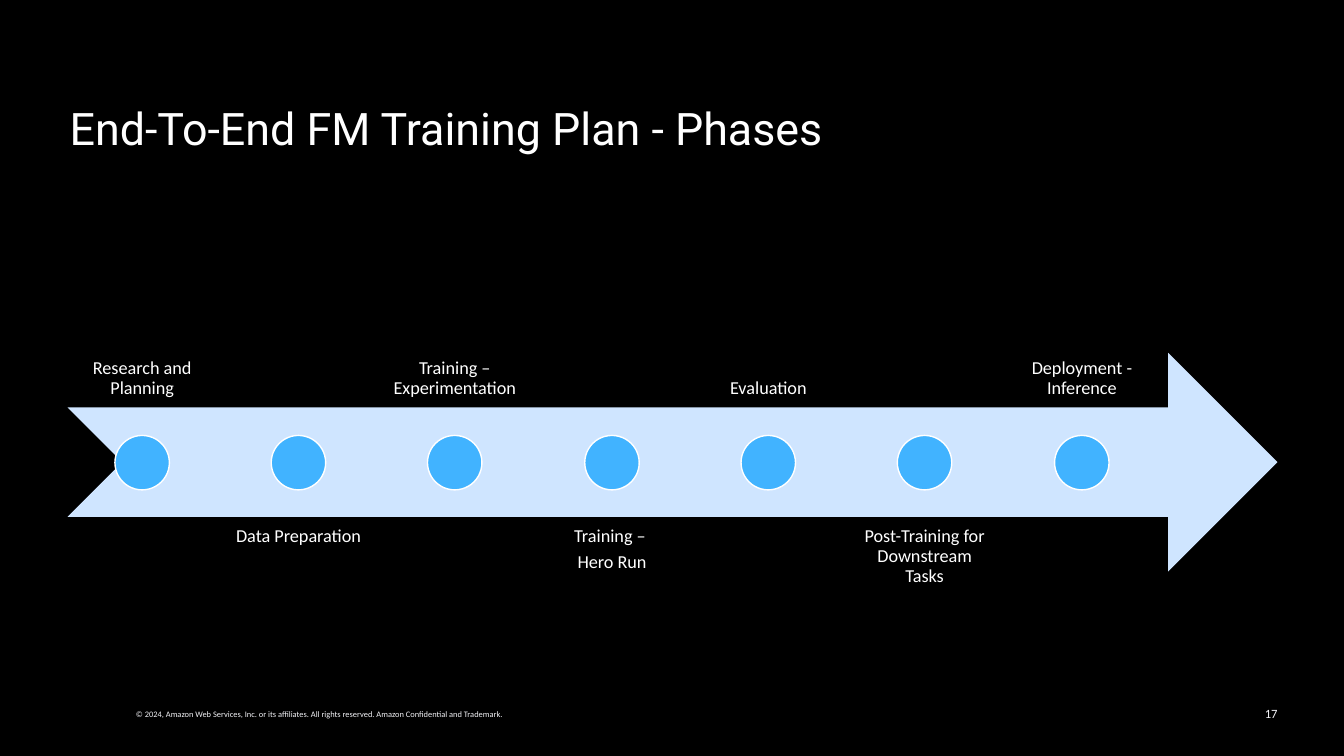
from dataclasses import dataclass

from pptx import Presentation
from pptx.dml.color import RGBColor
from pptx.enum.shapes import MSO_SHAPE as Shape
from pptx.enum.text import MSO_ANCHOR as Anchor, MSO_AUTO_SIZE as AutoSize, PP_ALIGN as Align
from pptx.util import Emu, Pt

EMU_PER_PX = 9144  # 100 px to the inch
TITLE_ONLY = 5


@dataclass(frozen=True)
class Theme:
    background: str = "000000"
    text: str = "FFFFFF"
    muted: str = "F3F3F7"
    arrow: str = "CFE5FF"
    dot: str = "41B3FF"
    title_font: str = "Roboto"
    body_font: str = "Calibri"
    title_size: float = 32
    label_size: float = 13
    number_size: float = 9
    footer_size: float = 6


def px(*lengths):
    return [Emu(length * EMU_PER_PX) for length in lengths]


def color(hex_value):
    return RGBColor.from_string(hex_value)


def write_text(frame, text, *, font, size, fill, align=Align.LEFT, anchor=Anchor.TOP,
               wrap=True, line_spacing=1.0, space_after=0, inset=(10, 5)):
    """Fill a text frame, one paragraph for each line of text."""
    frame.word_wrap = wrap
    frame.auto_size = AutoSize.NONE
    frame.vertical_anchor = anchor
    frame.margin_left, frame.margin_top = px(*inset)
    frame.margin_right, frame.margin_bottom = px(*inset)
    for index, line in enumerate(text.split("\n")):
        paragraph = frame.add_paragraph() if index else frame.paragraphs[0]
        paragraph.alignment = align
        paragraph.line_spacing = line_spacing
        paragraph.space_before = Pt(0)
        paragraph.space_after = Pt(space_after)
        run = paragraph.add_run()
        run.text = line
        run.font.name = font
        run.font.size = Pt(size)
        run.font.bold = False
        run.font.color.rgb = color(fill)


class SlideBuilder:
    def __init__(self, presentation, theme):
        self.theme = theme
        self.slide = presentation.slides.add_slide(presentation.slide_layouts[TITLE_ONLY])
        background = self.slide.background.fill
        background.solid()
        background.fore_color.rgb = color(theme.background)

    def title(self, text, *box):
        title = self.slide.shapes.title
        title.left, title.top, title.width, title.height = px(*box)
        write_text(title.text_frame, text, font=self.theme.title_font,
                   size=self.theme.title_size, fill=self.theme.text,
                   anchor=Anchor.MIDDLE, line_spacing=0.9)

    def text(self, text, *box, **text_format):
        text_box = self.slide.shapes.add_textbox(*px(*box))
        write_text(text_box.text_frame, text, font=self.theme.body_font, **text_format)

    def shape(self, kind, *box, fill, outline=None):
        shape = self.slide.shapes.add_shape(kind, *px(*box))
        shape.shadow.inherit = False
        shape.fill.solid()
        shape.fill.fore_color.rgb = color(fill)
        if outline:
            shape.line.color.rgb = color(outline)
            shape.line.width = Pt(1)
        else:
            shape.line.fill.background()

    def phase(self, label, left, above):
        """Add a dot on the arrow with its label above or below."""
        theme = self.theme
        self.text(label, left, 188 if above else 513, 148, 217,
                  size=theme.label_size, fill=theme.text, align=Align.CENTER,
                  anchor=Anchor.BOTTOM if above else Anchor.TOP,
                  line_spacing=0.9, space_after=4.55, inset=(10, 10))
        self.shape(Shape.OVAL, left + 47, 432, 54, 54, fill=theme.dot, outline=theme.text)


PHASES = [
    "Research and Planning",
    "Data Preparation",
    "Training – Experimentation",
    "Training – \nHero Run",
    "Evaluation",
    "Post-Training for Downstream Tasks",
    "Deployment - Inference",
]
FIRST_LEFT, LAST_LEFT = 67, 999


def main():
    presentation = Presentation()
    presentation.slide_width, presentation.slide_height = px(1333, 750)
    theme = Theme()
    builder = SlideBuilder(presentation, theme)

    builder.text("© 2024, Amazon Web Services, Inc. or its affiliates. All rights reserved. "
                 "Amazon Confidential and Trademark.",
                 125, 699, 431, 20, size=theme.footer_size, fill=theme.muted, wrap=False)
    builder.text("17", 977, 688, 300, 40, size=theme.number_size, fill=theme.muted,
                 align=Align.RIGHT, anchor=Anchor.MIDDLE)
    builder.title("End-To-End FM Training Plan - Phases", 59, 100, 1200, 59)

    builder.shape(Shape.NOTCHED_RIGHT_ARROW, 67, 350, 1200, 217, fill=theme.arrow)
    for index, label in enumerate(PHASES):
        left = FIRST_LEFT + (LAST_LEFT - FIRST_LEFT) * index // (len(PHASES) - 1)
        builder.phase(label, left, above=index % 2 == 0)

    presentation.save("out.pptx")


if __name__ == "__main__":
    main()
